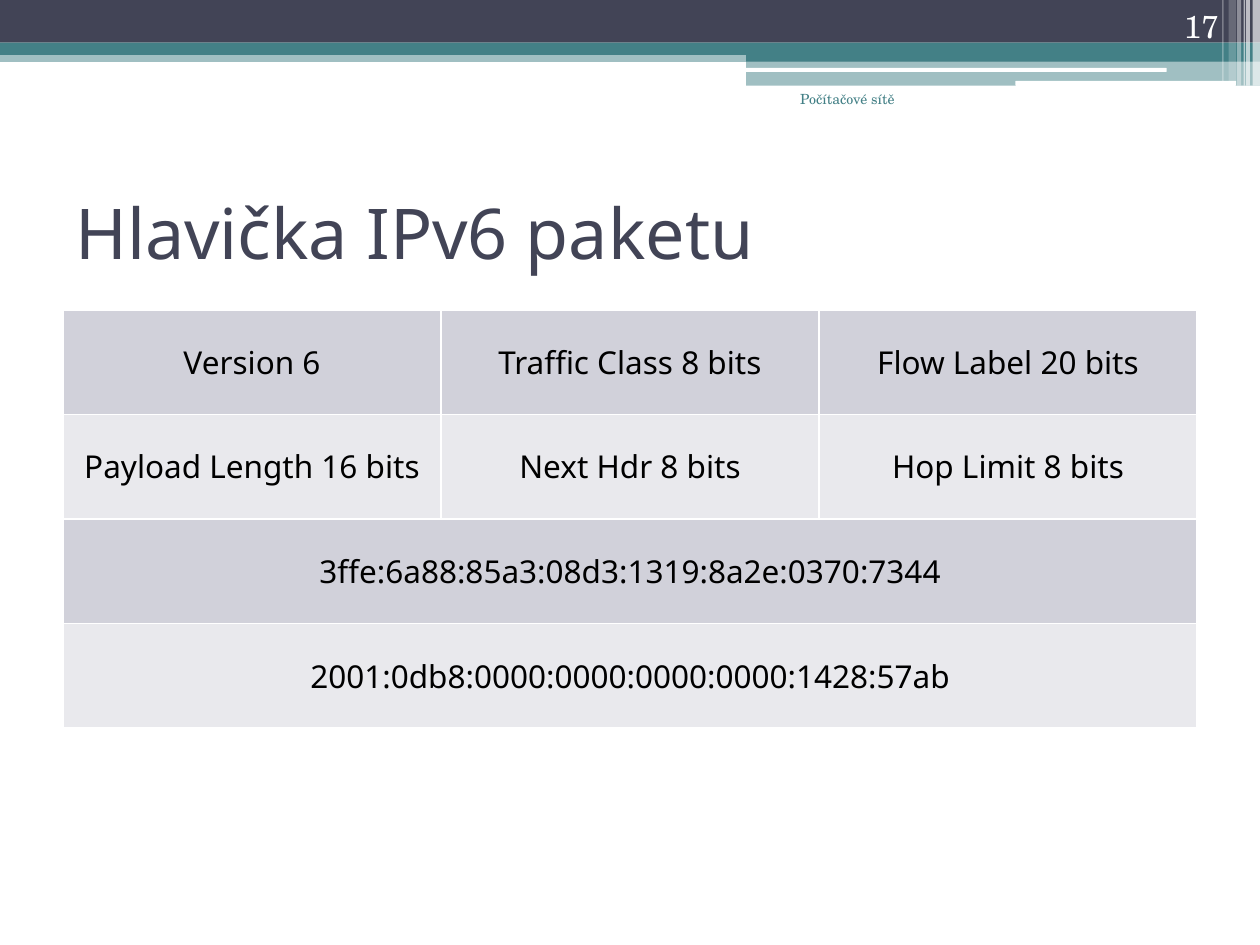
from lxml import etree
from pptx import Presentation
from pptx import util as u
from pptx.dml.color import RGBColor
from pptx.enum import shapes, text
from pptx.oxml.ns import qn

COLORS = {
    "navy": "424456",
    "teal": "438086",
    "white": "FFFFFF",
    "black": "000000",
    "band_dark": "D1D1DA",
    "band_light": "E9E9ED",
}
SANS, SERIF = "Noto Sans", "TeX Gyre Schola"
WIDTH, HEIGHT = 25.4, 19.05
RECT = shapes.MSO_SHAPE.RECTANGLE
ROUNDED = shapes.MSO_SHAPE.ROUNDED_RECTANGLE
LEFT, CENTER, RIGHT = text.PP_ALIGN.LEFT, text.PP_ALIGN.CENTER, text.PP_ALIGN.RIGHT
TOP, MIDDLE, BOTTOM = text.MSO_ANCHOR.TOP, text.MSO_ANCHOR.MIDDLE, text.MSO_ANCHOR.BOTTOM


def paint(fill, color, opacity=100):
    fill.solid()
    fill.fore_color.rgb = RGBColor.from_string(COLORS[color])
    if opacity < 100:
        tint = fill._xPr.find(".//" + qn("a:srgbClr"))
        etree.SubElement(tint, qn("a:alpha"), val=str(opacity * 1000))


class SlideBuilder:
    """Holds the current slide and the shared look; all lengths are in centimetres."""

    def __init__(self, slide):
        self.slide = slide

    def bar(self, box, color, opacity=100, kind=RECT):
        shape = self.slide.shapes.add_shape(kind, *map(u.Cm, box))
        shape.shadow.inherit = False
        shape.line.fill.background()
        paint(shape.fill, color, opacity)

    def set_text(self, frame, words, size, font, color, align):
        paragraph = frame.paragraphs[0]
        paragraph.text = words
        paragraph.alignment = align
        paragraph.font.size = u.Pt(size)
        paragraph.font.name = font
        paragraph.font.color.rgb = RGBColor.from_string(COLORS[color])

    def label(self, box, words, size, font, color, align=LEFT, anchor=TOP):
        frame = self.slide.shapes.add_textbox(*map(u.Cm, box)).text_frame
        frame.word_wrap = True
        frame.vertical_anchor = anchor
        self.set_text(frame, words, size, font, color, align)

    def border(self, cell, color, points):
        properties = cell._tc.get_or_add_tcPr()
        for index, side in enumerate(("lnL", "lnR", "lnT", "lnB")):
            line = etree.Element(qn(f"a:{side}"), w=str(u.Pt(points)))
            fill = etree.SubElement(line, qn("a:solidFill"))
            etree.SubElement(fill, qn("a:srgbClr"), val=COLORS[color])
            properties.insert(index, line)

    def table(self, box, rows):
        """Draw banded rows; a row with a single text spans all columns."""
        columns = max(map(len, rows))
        table = self.slide.shapes.add_table(len(rows), columns, *map(u.Cm, box)).table
        table.first_row = table.horz_banding = False
        for r, words in enumerate(rows):
            if len(words) == 1:
                table.cell(r, 0).merge(table.cell(r, columns - 1))
            for c in range(columns):
                cell = table.cell(r, c)
                paint(cell.fill, "band_light" if r % 2 else "band_dark")
                if cell.is_spanned:
                    continue
                cell.vertical_anchor = MIDDLE
                self.border(cell, "white", 1)
                self.set_text(cell.text_frame, words[c], 18, SANS, "black", CENTER)


def draw_header(page):
    page.bar((0, 1.02, WIDTH, 0.23), "teal", 50)
    page.bar((0, 0, WIDTH, 0.86), "navy")
    page.bar((0, 0.86, WIDTH, 0.25), "teal")
    page.bar((15.04, 0.99, 10.36, 0.25), "teal")
    page.bar((15.04, 1.22, 10.36, 0.51), "teal", 50)
    page.bar((15.01, 1.37, 8.51, 0.08), "white", kind=ROUNDED)
    page.bar((20.47, 1.63, 4.45, 0.1), "white", kind=ROUNDED)
    stripes = [  # left, width, height, opacity
        (25.25, 0.15, 1.73, 65),
        (25.12, 0.08, 1.73, 65),
        (25.07, 0.03, 1.73, 60),
        (24.94, 0.08, 1.73, 40),
        (24.77, 0.15, 1.63, 20),
        (24.64, 0.03, 1.63, 30),
    ]
    for left, width, height, opacity in stripes:
        page.bar((left, 0, width, height), "white", opacity)


def main():
    deck = Presentation()
    deck.slide_width, deck.slide_height = u.Cm(WIDTH), u.Cm(HEIGHT)
    page = SlideBuilder(deck.slides.add_slide(deck.slide_layouts[6]))
    draw_header(page)
    page.label((1.27, 3.18, 22.86, 2.97), "Hlavička IPv6 paketu", 40, SANS, "navy", anchor=MIDDLE)
    page.label((14.61, 1.7, 3.68, 1.27), "Počítačové sítě", 8, SERIF, "teal", RIGHT)
    page.label((22.71, 0, 2.11, 1.02), "17", 18, SERIF, "white", RIGHT, BOTTOM)
    page.table((1.27, 6.25, 22.86, 8.43), [
        ["Version 6", "Traffic Class 8 bits", "Flow Label 20 bits"],
        ["Payload Length 16 bits", "Next Hdr 8 bits", "Hop Limit 8 bits"],
        ["3ffe:6a88:85a3:08d3:1319:8a2e:0370:7344"],
        ["2001:0db8:0000:0000:0000:0000:1428:57ab"],
    ])
    deck.save("out.pptx")


if __name__ == "__main__":
    main()
